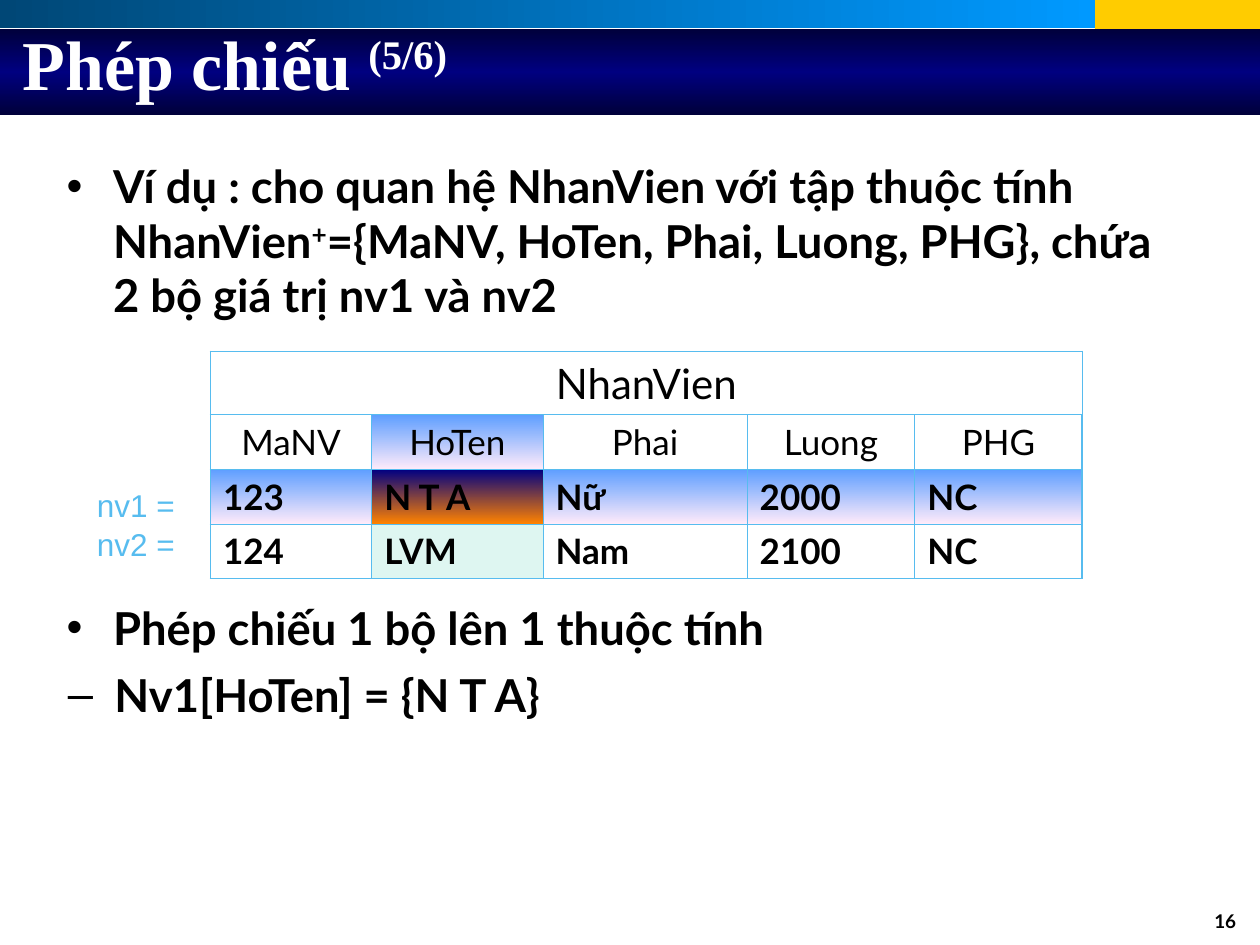
from dataclasses import dataclass
from typing import NamedTuple

from lxml import etree
from pptx import Presentation
from pptx import util as u
from pptx.dml.color import RGBColor
from pptx.enum import shapes, text
from pptx.oxml.ns import qn

GRID = u.Inches(0.1)  # the slide is 100 columns by 75 rows


@dataclass(frozen=True)
class Theme:
    serif: str = "Times New Roman"
    sans: str = "Lato"
    label_font: str = "Arial"
    ink: str = "000000"
    white: str = "FFFFFF"
    sky: str = "57BCEF"
    gold: str = "FFCC00"
    mint: str = "DEF6F1"
    ocean: tuple = ("004776", "0099FF")
    navy: tuple = ("00003B", "000080", "00003B")
    dawn: tuple = ("5E9EFF", "FFEBFA")
    sunset: tuple = ("000082", "FF8200")
    title_size: float = 40
    body_size: float = 25.9
    caption_size: float = 24
    cell_size: float = 20
    label_size: float = 18
    number_size: float = 10.8
    outer_line: float = 1.08
    inner_line: float = 0.45


THEME = Theme()


class Area(NamedTuple):
    """A place on the slide, in grid columns and rows."""
    left: float
    top: float
    width: float
    height: float

    def lengths(self) -> list:
        return [round(cells * GRID) for cells in self]


class Band(NamedTuple):
    area: Area
    paint: object
    angle: int = 0


class Run(NamedTuple):
    text: str
    raised: bool = False


class Item(NamedTuple):
    runs: tuple
    bullet: str = ""
    margin: float = 0
    hanging: float = 0
    format: dict = {}


BANDS = (
    Band(Area(86.9, 0, 13.1, 2.8), THEME.gold),
    Band(Area(0, 0, 86.9, 2.2), THEME.ocean),
    Band(Area(0, 2.3, 100, 6.8), THEME.navy, 90),
)

TITLE = Item((Run("Phép chiếu "), Run("(5/6)", True)),
             format={"alignment": text.PP_ALIGN.LEFT})

BODY = (
    Item((Run("Ví dụ : cho quan hệ NhanVien với tập thuộc tính NhanVien"),
          Run("+", True),
          Run("={MaNV, HoTen, Phai, Luong, PHG}, chứa 2 bộ giá trị nv1 và nv2")),
         "•", 4.7, 3.7),
    Item((Run("Phép chiếu 1 bộ lên 1 thuộc tính"),), "•", 4.7, 3.7,
         {"space_before": u.Pt(159)}),
    Item((Run("Nv1[HoTen] = {N T A}"),), "–", 4.8, 3.7,
         {"space_before": u.Pt(7)}),
)

TUPLE_LABELS = tuple(Item((Run(label),), margin=5, format={"line_spacing": 1.05})
                     for label in ("nv1 =", "nv2 ="))

RELATION = "NhanVien"
ROWS = (
    ("MaNV", "HoTen", "Phai", "Luong", "PHG"),
    ("123", "N T A", "Nữ", "2000", "NC"),
    ("124", "LVM", "Nam", "2100", "NC"),
)
COLUMN_WIDTHS = (12.8, 13.6, 16.2, 13.3, 13.3)
ROW_HEIGHTS = (5, 4.33, 4.33, 4.33)
SELECTED_ROW, SELECTED_COLUMN = 2, 1
CELL_PAINTS = {(1, SELECTED_COLUMN): THEME.dawn, (3, SELECTED_COLUMN): THEME.mint,
               **{(SELECTED_ROW, column): THEME.dawn for column in range(5)},
               (SELECTED_ROW, SELECTED_COLUMN): THEME.sunset}


def apply(target, values: dict) -> None:
    for name, value in values.items():
        setattr(target, name, value)


def style_font(font, name: str, size: float, color: str, bold: bool = False) -> None:
    apply(font, {"name": name, "size": u.Pt(size), "bold": bold})
    font.color.rgb = RGBColor.from_string(color)


def paint_fill(fill, paint, angle: int = 0) -> None:
    """Apply no fill (None), one colour (str) or evenly spaced stops (tuple)."""
    if paint is None:
        fill.background()
    elif isinstance(paint, str):
        fill.solid()
        fill.fore_color.rgb = RGBColor.from_string(paint)
    else:
        fill.gradient()
        fill.gradient_angle = -angle % 360
        stops = fill._fill._gradFill.gsLst
        for stop in list(stops):
            stops.remove(stop)
        for index, color in enumerate(paint):
            position = str(100000 * index // (len(paint) - 1))
            stop = etree.SubElement(stops, qn("a:gs"), pos=position)
            etree.SubElement(stop, qn("a:srgbClr"), val=color)


def draw_band(slide, band: Band) -> None:
    shape = slide.shapes.add_shape(shapes.MSO_SHAPE.RECTANGLE, *band.area.lengths())
    shape.shadow.inherit = False
    shape.line.fill.background()
    paint_fill(shape.fill, band.paint, band.angle)


def write_items(frame, items: tuple, font: tuple) -> None:
    frame.word_wrap = True
    for index, item in enumerate(items):
        paragraph = frame.add_paragraph() if index else frame.paragraphs[0]
        apply(paragraph, item.format)
        properties = paragraph._p.get_or_add_pPr()
        properties.set("marL", str(round(item.margin * GRID)))
        properties.set("indent", str(round(-item.hanging * GRID)))
        if item.bullet:
            color = etree.SubElement(properties, qn("a:buClr"))
            etree.SubElement(color, qn("a:srgbClr"), val=THEME.ink)
            etree.SubElement(properties, qn("a:buFont"), typeface=THEME.label_font)
            etree.SubElement(properties, qn("a:buChar"), char=item.bullet)
        for part in item.runs:
            run = paragraph.add_run()
            run.text = part.text
            style_font(run.font, *font)
            if part.raised:
                run._r.get_or_add_rPr().set("baseline", "30000")


def draw_text(slide, area: Area, items: tuple, font: tuple) -> None:
    box = slide.shapes.add_textbox(*area.lengths())
    write_items(box.text_frame, items, font)


def draw_title(slide) -> None:
    title = slide.shapes.title
    slide.shapes._spTree.append(title._element)  # bring in front of the bands
    apply(title, dict(zip(("left", "top", "width", "height"),
                          Area(0.8, 0.8, 44.2, 8.3).lengths())))
    title.text_frame.vertical_anchor = text.MSO_ANCHOR.MIDDLE
    write_items(title.text_frame, (TITLE,),
                (THEME.serif, THEME.title_size, THEME.white, True))


def border_cell(cell, row: int, column: int) -> None:
    outer = {"L": column == 0, "R": column == len(COLUMN_WIDTHS) - 1,
             "T": row == 0, "B": row == len(ROW_HEIGHTS) - 1}
    for side, is_outer in outer.items():
        width = u.Pt(THEME.outer_line if is_outer else THEME.inner_line)
        line = etree.SubElement(cell._tc.get_or_add_tcPr(), qn(f"a:ln{side}"), w=str(width))
        solid = etree.SubElement(line, qn("a:solidFill"))
        etree.SubElement(solid, qn("a:srgbClr"), val=THEME.sky)


def draw_relation(slide) -> None:
    area = Area(16.7, 27.9, sum(COLUMN_WIDTHS), sum(ROW_HEIGHTS))
    table = slide.shapes.add_table(len(ROW_HEIGHTS), len(COLUMN_WIDTHS),
                                   *area.lengths()).table
    apply(table, {"first_row": False, "horz_banding": False})
    for column, width in zip(table.columns, COLUMN_WIDTHS):
        column.width = round(width * GRID)
    for row, height in zip(table.rows, ROW_HEIGHTS):
        row.height = round(height * GRID)
    table.cell(0, 0).merge(table.cell(0, len(COLUMN_WIDTHS) - 1))
    caption = (RELATION,) + ("",) * (len(COLUMN_WIDTHS) - 1)
    for row, values in enumerate((caption, *ROWS)):
        size = THEME.cell_size if row else THEME.caption_size
        for column, value in enumerate(values):
            cell = table.cell(row, column)
            border_cell(cell, row, column)
            paint_fill(cell.fill, CELL_PAINTS.get((row, column)), 90)
            if value:
                cell.text = value
                paragraph = cell.text_frame.paragraphs[0]
                paragraph.alignment = text.PP_ALIGN.CENTER if row < 2 else text.PP_ALIGN.LEFT
                style_font(paragraph.runs[0].font, THEME.sans, size, THEME.ink, row >= 2)


def main() -> None:
    deck = Presentation()
    apply(deck, {"slide_width": 100 * GRID, "slide_height": 75 * GRID})
    slide = deck.slides.add_slide(deck.slide_layouts.get_by_name("Title Only"))
    for band in BANDS:
        draw_band(slide, band)
    number = Item((Run("16"),), format={"alignment": text.PP_ALIGN.RIGHT})
    draw_text(slide, Area(75.8, 71.7, 23.3, 3.2), (number,),
              (THEME.sans, THEME.number_size, THEME.ink, True))
    draw_title(slide)
    draw_text(slide, Area(3.3, 12.1, 90, 49.6), BODY,
              (THEME.sans, THEME.body_size, THEME.ink, True))
    draw_relation(slide)
    draw_text(slide, Area(1.7, 37.9, 14.2, 7), TUPLE_LABELS,
              (THEME.label_font, THEME.label_size, THEME.sky))
    deck.save("out.pptx")


if __name__ == "__main__":
    main()
